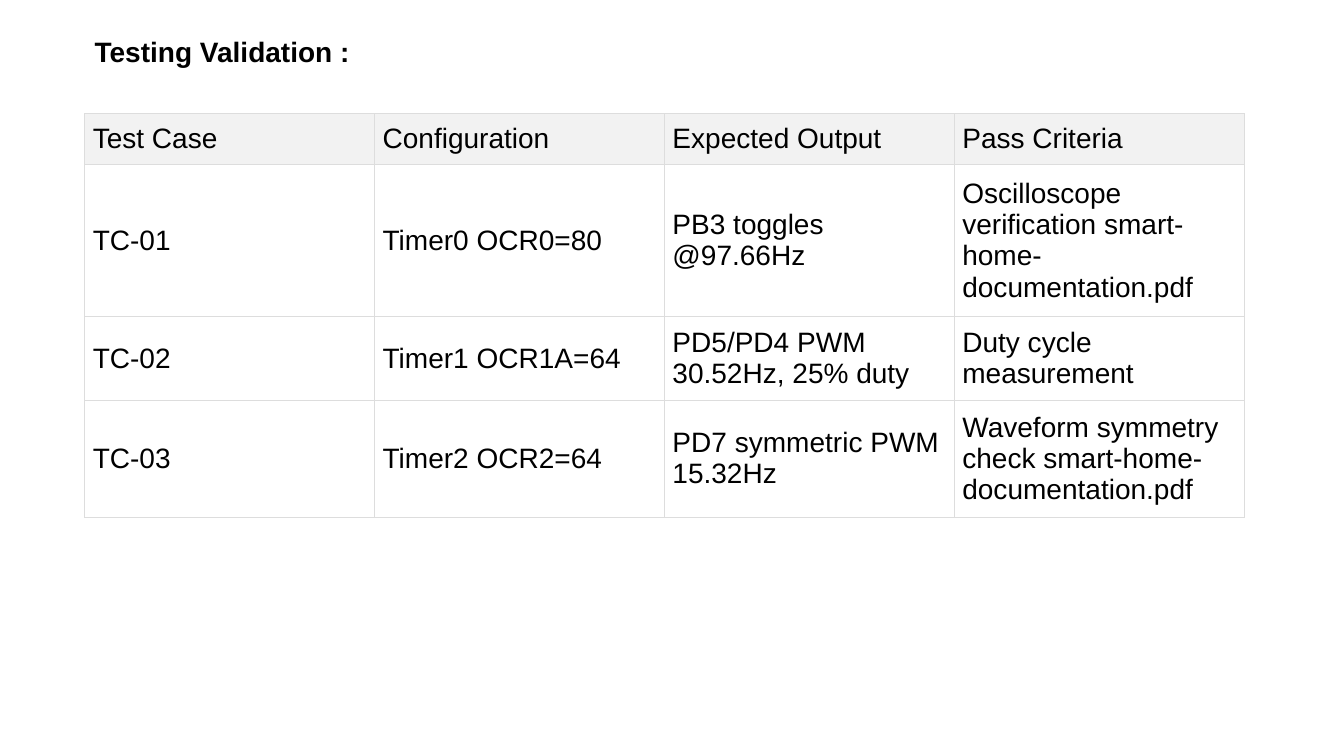
from lxml import etree
from pptx import Presentation
from pptx import util as u
from pptx.dml.color import RGBColor
from pptx.enum import text
from pptx.oxml.ns import qn

HEADS = ["Test Case", "Configuration", "Expected Output", "Pass Criteria"]
CASES = [
    ["TC-01", "Timer0 OCR0=80", "PB3 toggles @97.66Hz",
     "Oscilloscope verification smart-home-documentation.pdf"],
    ["TC-02", "Timer1 OCR1A=64", "PD5/PD4 PWM 30.52Hz, 25% duty",
     "Duty cycle measurement"],
    ["TC-03", "Timer2 OCR2=64", "PD7 symmetric PWM 15.32Hz",
     "Waveform symmetry check smart-home-documentation.pdf"],
]
HIGHS = [0.5, 1.51, 0.83, 1.16]


def paint(item, color):
    item.solid()
    item.fore_color.rgb = RGBColor.from_string(color)


def write(frame, words, bold=False):
    frame.text = words
    font = frame.paragraphs[0].runs[0].font
    font.name, font.size, font.bold = "Arial", u.Pt(20), bold
    paint(font.fill, "000000")


def edge(cell, color, width):
    props = cell._tc.get_or_add_tcPr()
    for spot, side in enumerate(["a:lnL", "a:lnR", "a:lnT", "a:lnB"]):
        line = etree.Element(qn(side), w=str(u.Pt(width)))
        fill = etree.SubElement(line, qn("a:solidFill"))
        etree.SubElement(fill, qn("a:srgbClr"), val=color)
        props.insert(spot, line)


def title(slide, left, top, width, height):
    box = slide.shapes.add_textbox(*map(u.Inches, (left, top, width, height)))
    box.text_frame.word_wrap = False
    write(box.text_frame, "Testing Validation :", True)


def grid(slide, left, top, width, height):
    rows = [HEADS] + CASES
    table = slide.shapes.add_table(
        len(rows), len(HEADS),
        *map(u.Inches, (left, top, width, height))).table
    table.horz_banding = False
    for col in table.columns:
        col.width = u.Inches(width / len(HEADS))
    for r, row in enumerate(rows):
        table.rows[r].height = u.Inches(height * HIGHS[r] / sum(HIGHS))
        for c, words in enumerate(row):
            cell = table.cell(r, c)
            cell.margin_left = cell.margin_right = u.Inches(0.08)
            cell.margin_top = cell.margin_bottom = u.Inches(0.08)
            cell.vertical_anchor = text.MSO_ANCHOR.MIDDLE
            paint(cell.fill, "FFFFFF" if r else "F2F2F2")
            edge(cell, "DDDDDD", 0.75)
            write(cell.text_frame, words)


def main():
    deck = Presentation()
    deck.slide_width, deck.slide_height = u.Inches(13.33), u.Inches(7.5)
    slide = deck.slides.add_slide(deck.slide_layouts[6])
    title(slide, 0.84, 0.29, 2.83, 1.11)
    grid(slide, 0.84, 1.13, 11.5, 4)
    deck.save("out.pptx")


if __name__ == "__main__":
    main()
